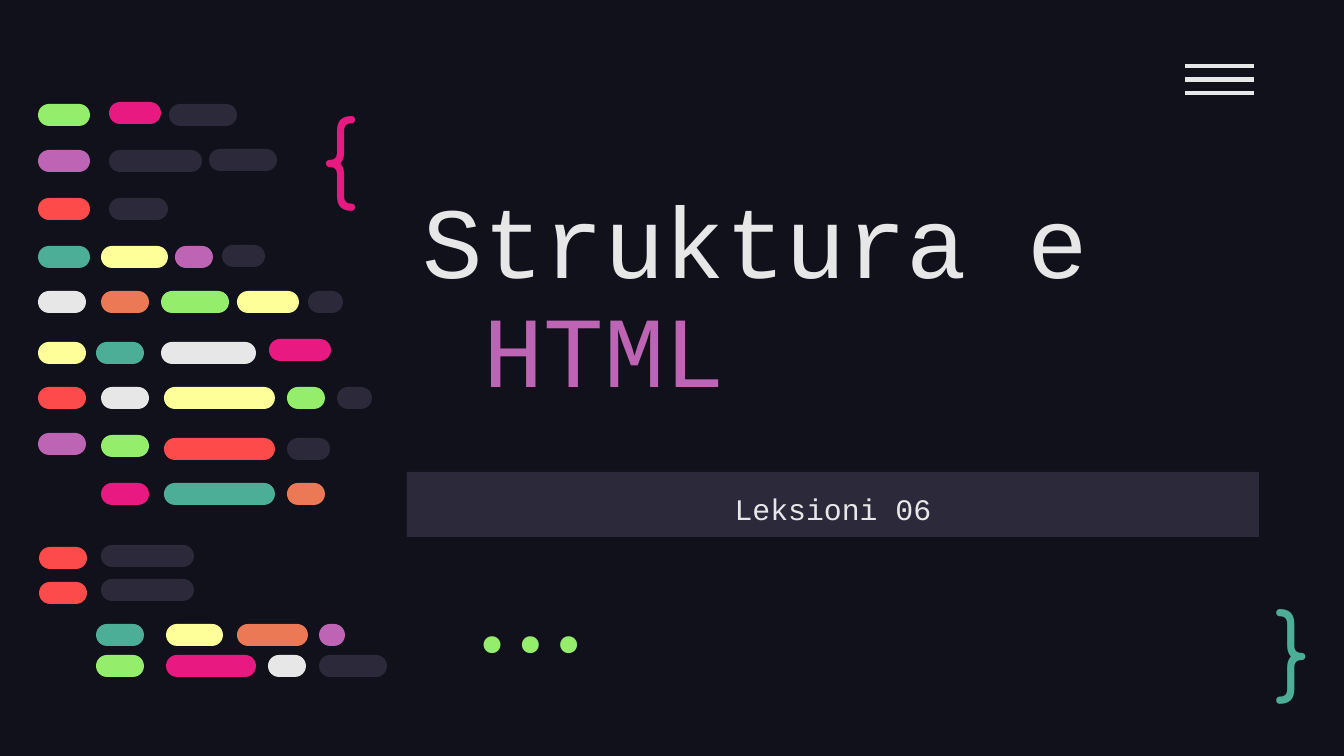
import pptx
import pptx.util
import pptx.dml.color
import pptx.enum.shapes
import pptx.enum.text
import pptx.oxml

PX = 914400 / 134.4
WIDTH, HEIGHT = 1344, 756
BAR_HEIGHT = 22
PADDING = 13

THEME = {
    "colors": {
        "background": "10111A", "dark": "2C293A", "white": "E7E7E7",
        "green": "94EE6B", "pink": "E81A81", "purple": "BD64B5",
        "red": "FD4A4A", "teal": "4CAE97", "yellow": "FFFF99", "orange": "EC7955",
    },
    "sizes": {"title": 54, "subtitle": 16, "symbol": 50},
    "fonts": {"code": "Courier New", "brace": "Comfortaa", "dots": "Fira Code"},
}

TEXTS = [
    ([("Struktura e", "white"), (" HTML", "purple")], dict(
        box=(410, 183, 852, 239), size="title", font="code", anchor="BOTTOM", spacing=0.9)),
    ([("Leksioni 06", "white")], dict(
        box=(407, 472, 852, 65), size="subtitle", font="code", align="CENTER",
        spacing=1.15, fill="dark")),
    ([("{", "pink")], dict(box=(308, 83, 103, 128), size="symbol", font="brace")),
    ([("}", "teal")], dict(
        box=(1262, 589, 77, 112), size="symbol", font="brace", anchor="MIDDLE")),
    ([("...", "green")], dict(
        box=(418, 603, 212, 81), size="symbol", font="dots", anchor="BOTTOM", align="RIGHT")),
]

MENU = {"left": 1185, "right": 1254, "top": 66, "step": 13.5, "count": 3, "weight": 2.25}

# (left, width, color, optional vertical offset) for each row top
CODE_ROWS = [
    (104, [(38, 52, "green"), (109, 52, "pink", -2), (169, 68, "dark")]),
    (150, [(38, 52, "purple"), (109, 93, "dark"), (209, 68, "dark", -1)]),
    (198, [(38, 52, "red"), (109, 59, "dark")]),
    (246, [(38, 52, "teal"), (101, 67, "yellow"), (175, 38, "purple"), (222, 43, "dark", -1)]),
    (291, [(38, 48, "white"), (101, 48, "orange"), (161, 68, "green"), (237, 62, "yellow"),
           (308, 35, "dark")]),
    (342, [(38, 48, "yellow"), (96, 48, "teal"), (161, 95, "white"), (269, 62, "pink", -3)]),
    (387, [(38, 48, "red"), (101, 48, "white"), (164, 111, "yellow"), (287, 38, "green"),
           (337, 35, "dark")]),
    (433, [(38, 48, "purple"), (101, 48, "green", 2), (164, 111, "red", 5),
           (287, 43, "dark", 5)]),
    (483, [(101, 48, "pink"), (164, 111, "teal"), (287, 38, "orange")]),
    (547, [(39, 48, "red"), (101, 93, "dark", -2)]),
    (582, [(39, 48, "red"), (101, 93, "dark", -3)]),
    (624, [(96, 48, "teal"), (166, 57, "yellow"), (237, 71, "orange"), (319, 26, "purple")]),
    (655, [(96, 48, "green"), (166, 90, "pink"), (268, 38, "white"), (319, 68, "dark")]),
]


def emu(*lengths):
    return [pptx.util.Emu(round(length * PX)) for length in lengths]


def color(name):
    return pptx.dml.color.RGBColor.from_string(THEME["colors"][name])


def paint(target, name):
    target.fill.solid()
    target.fill.fore_color.rgb = color(name)


def add_text(slide, lines, *, box, size, font, anchor="TOP", align="LEFT", spacing=1.0, fill=None):
    shape = slide.shapes.add_textbox(*emu(*box))
    if fill:
        paint(shape, fill)
    frame = shape.text_frame
    frame.word_wrap = True
    frame.vertical_anchor = pptx.enum.text.MSO_ANCHOR[anchor]
    for side in ("left", "top", "right", "bottom"):
        setattr(frame, f"margin_{side}", emu(PADDING)[0])
    for index, (text, text_color) in enumerate(lines):
        paragraph = frame.add_paragraph() if index else frame.paragraphs[0]
        paragraph.alignment = pptx.enum.text.PP_ALIGN[align]
        paragraph.line_spacing = spacing
        run = paragraph.add_run()
        run.text = text
        run.font.name = THEME["fonts"][font]
        run.font.size = pptx.util.Pt(THEME["sizes"][size])
        run.font.color.rgb = color(text_color)


def add_menu(slide):
    group = slide.shapes.add_group_shape()
    for index in range(MENU["count"]):
        y = MENU["top"] + index * MENU["step"]
        line = group.shapes.add_connector(
            pptx.enum.shapes.MSO_CONNECTOR.STRAIGHT, *emu(MENU["left"], y, MENU["right"], y))
        line.line.color.rgb = color("white")
        line.line.width = pptx.util.Pt(MENU["weight"])
        properties = line._element.spPr
        properties.append(pptx.oxml.parse_xml(
            '<a:effectLst xmlns:a="http://schemas.openxmlformats.org/drawingml/2006/main"/>'))


def add_code_bars(slide):
    group = slide.shapes.add_group_shape()
    for top, bars in CODE_ROWS:
        for left, width, name, *offset in bars:
            shape = group.shapes.add_shape(
                pptx.enum.shapes.MSO_SHAPE.ROUNDED_RECTANGLE,
                *emu(left, top + sum(offset), width, BAR_HEIGHT))
            shape.adjustments[0] = 0.5
            shape.shadow.inherit = False
            shape.line.fill.background()
            paint(shape, name)


def main():
    presentation = pptx.Presentation()
    presentation.slide_width, presentation.slide_height = emu(WIDTH, HEIGHT)
    slide = presentation.slides.add_slide(presentation.slide_layouts[6])
    paint(slide.background, "background")
    for lines, style in TEXTS:
        add_text(slide, lines, **style)
    add_menu(slide)
    add_code_bars(slide)
    presentation.save("out.pptx")


if __name__ == "__main__":
    main()
